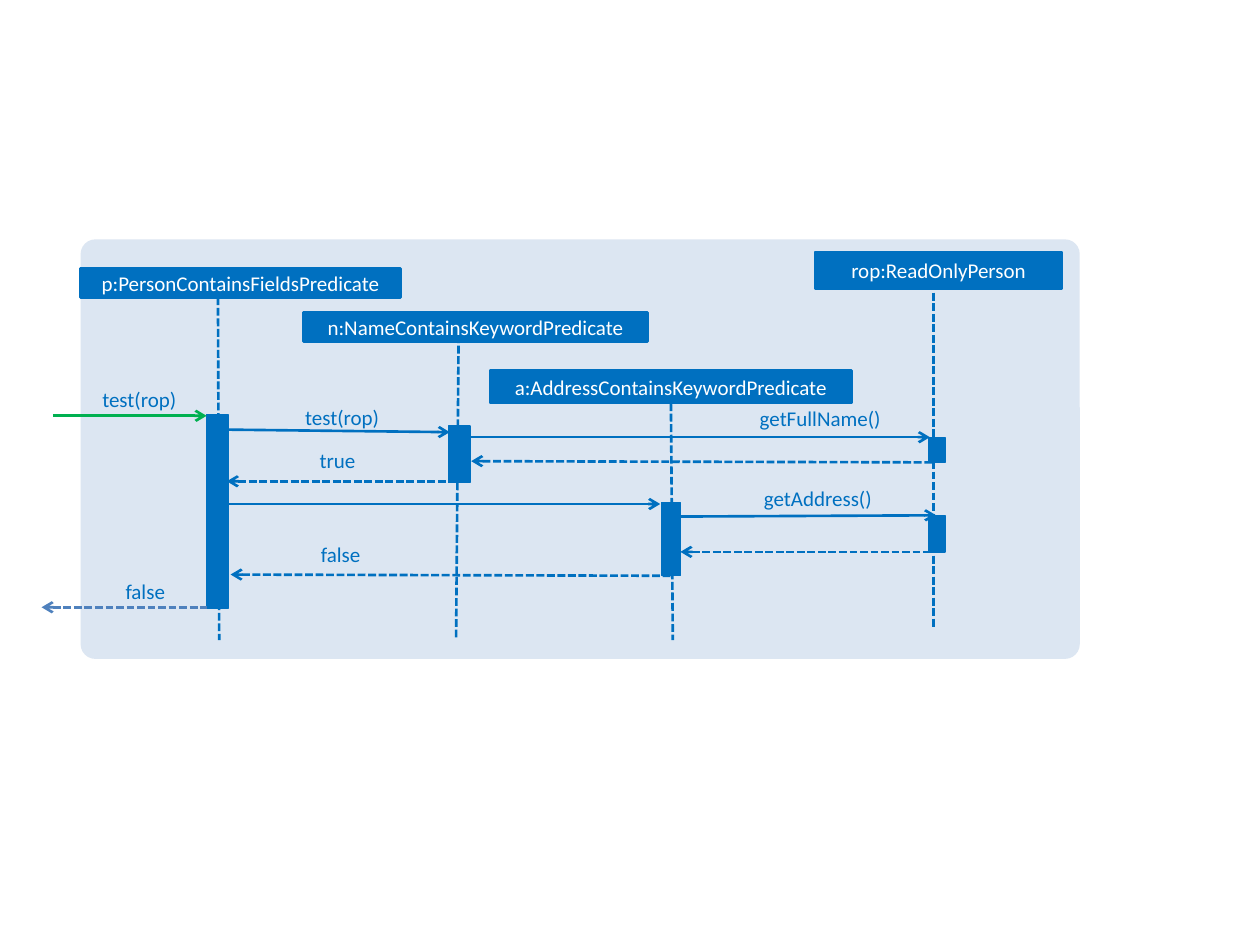
import pptx
import pptx.dml.color
import pptx.enum.dml
import pptx.enum.shapes
import pptx.enum.text
import pptx.oxml
import pptx.oxml.ns
import pptx.util

Inches = pptx.util.Inches
Pt = pptx.util.Pt
SHAPE = pptx.enum.shapes.MSO_SHAPE
ALIGN = pptx.enum.text.PP_ALIGN
NS = pptx.oxml.ns.nsdecls("a")


def color(value):
    return pptx.dml.color.RGBColor.from_string(value)


class SequenceDiagram:
    font = "Calibri"
    size = 12
    blue = "0070C0"
    green = "00B050"
    steel = "4F81BD"
    pale = "DCE6F2"
    white = "FFFFFF"

    def __init__(self, slide):
        self.slide = slide

    def box(self, kind, x, y, w, h, fill, line_width=None):
        sp = self.slide.shapes.add_shape(kind, Inches(x), Inches(y), Inches(w), Inches(h))
        sp.shadow.inherit = False
        sp.fill.solid()
        sp.fill.fore_color.rgb = color(fill)
        if line_width:
            sp.line.color.rgb = color(fill)
            sp.line.width = Pt(line_width)
        else:
            sp.line.fill.background()
        return sp

    def set_text(self, tf, text, align, text_color):
        tf.word_wrap = True
        p = tf.paragraphs[0]
        p.text = text
        p.alignment = align
        p.font.name = self.font
        p.font.size = Pt(self.size)
        p.font.color.rgb = color(text_color)

    def panel(self, x, y, w, h):
        sp = self.box(SHAPE.ROUNDED_RECTANGLE, x, y, w, h, self.pale)
        sp.adjustments[0] = 0.035

    def participant(self, text, x, y, w, h):
        sp = self.box(SHAPE.RECTANGLE, x, y, w, h, self.blue, 1.5)
        sp.text_frame.vertical_anchor = pptx.enum.text.MSO_ANCHOR.MIDDLE
        self.set_text(sp.text_frame, text, ALIGN.CENTER, self.white)
        return sp

    def activation(self, x, y, w, h):
        self.box(SHAPE.RECTANGLE, x, y, w, h, self.blue, 0.75)

    def label(self, text, x, y, w):
        sp = self.slide.shapes.add_textbox(Inches(x), Inches(y), Inches(w), Inches(0.2))
        tf = sp.text_frame
        tf.margin_left = tf.margin_right = tf.margin_top = tf.margin_bottom = 0
        tf.auto_size = pptx.enum.text.MSO_AUTO_SIZE.SHAPE_TO_FIT_TEXT
        self.set_text(tf, text, ALIGN.RIGHT, self.blue)

    def line(self, x1, y1, x2, y2, line_color, dashed=False, arrow=None):
        cxn = self.slide.shapes.add_connector(
            pptx.enum.shapes.MSO_CONNECTOR.STRAIGHT,
            Inches(x1), Inches(y1), Inches(x2), Inches(y2))
        cxn.line.color.rgb = color(line_color)
        cxn.line.width = Pt(1.5)
        if dashed:
            cxn.line.dash_style = pptx.enum.dml.MSO_LINE.SQUARE_DOT
        spPr = cxn.element.spPr
        if arrow:
            ln = spPr.find(pptx.oxml.ns.qn("a:ln"))
            ln.append(pptx.oxml.parse_xml(f'<a:{arrow} {NS} type="arrow"/>'))
        spPr.append(pptx.oxml.parse_xml(f"<a:effectLst {NS}/>"))
        return cxn

    def lifeline(self, x1, y1, x2, y2):
        return self.line(x1, y1, x2, y2, self.blue, dashed=True)

    def call(self, x1, y1, x2, y2, line_color=blue):
        self.line(x1, y1, x2, y2, line_color, arrow="tailEnd")

    def reply(self, x1, y1, x2, y2, line_color=blue):
        self.line(x1, y1, x2, y2, line_color, dashed=True, arrow="headEnd")


def main():
    prs = pptx.Presentation()
    prs.slide_width = Inches(10)
    prs.slide_height = Inches(7.5)
    d = SequenceDiagram(prs.slides.add_slide(prs.slide_layouts[6]))

    d.panel(0.64, 1.9, 7.93, 3.33)

    d.participant("p:PersonContainsFieldsPredicate", 0.64, 2.13, 2.54, 0.23)
    d.participant("n:NameContainsKeywordPredicate", 2.41, 2.48, 2.73, 0.23)
    d.participant("rop:ReadOnlyPerson", 6.47, 2, 1.96, 0.29)
    address = d.participant("a:AddressContainsKeywordPredicate", 3.89, 2.94, 2.87, 0.26)

    d.lifeline(1.73, 2.36, 1.74, 5.08)
    d.lifeline(3.64, 2.66, 3.62, 5.08)
    d.lifeline(7.41, 2.24, 7.41, 4.98)
    d.lifeline(5.32, 3.2, 5.34, 5.08).begin_connect(address, 2)

    for bar in [
        (1.64, 3.29, 0.17, 1.54),
        (3.56, 3.38, 0.17, 0.45),
        (5.25, 3.99, 0.15, 0.58),
        (7.37, 3.47, 0.13, 0.2),
        (7.37, 4.09, 0.13, 0.29),
    ]:
        d.activation(*bar)

    d.call(0.42, 3.3, 1.64, 3.3, d.green)
    d.call(1.81, 3.41, 3.57, 3.43)
    d.call(3.73, 3.47, 7.38, 3.47)
    d.call(1.82, 4, 5.24, 4)
    d.call(5.39, 4.1, 7.43, 4.09)

    d.reply(3.74, 3.66, 7.4, 3.67)
    d.reply(1.8, 3.82, 3.56, 3.82)
    d.reply(5.4, 4.38, 7.37, 4.38)
    d.reply(1.83, 4.56, 5.32, 4.57)
    d.reply(0.33, 4.82, 1.64, 4.82, d.steel)

    for text, x, y, w in [
        ("test(rop)", -0.16, 3.07, 1.56),
        ("test(rop)", 1.45, 3.21, 1.56),
        ("getFullName()", 5.43, 3.22, 1.56),
        ("true", 2.44, 3.55, 0.38),
        ("getAddress()", 5.36, 3.85, 1.56),
        ("false", 2.48, 4.3, 0.38),
        ("false", 0.48, 4.59, 0.83),
    ]:
        d.label(text, x, y, w)

    prs.save("out.pptx")


if __name__ == "__main__":
    main()
